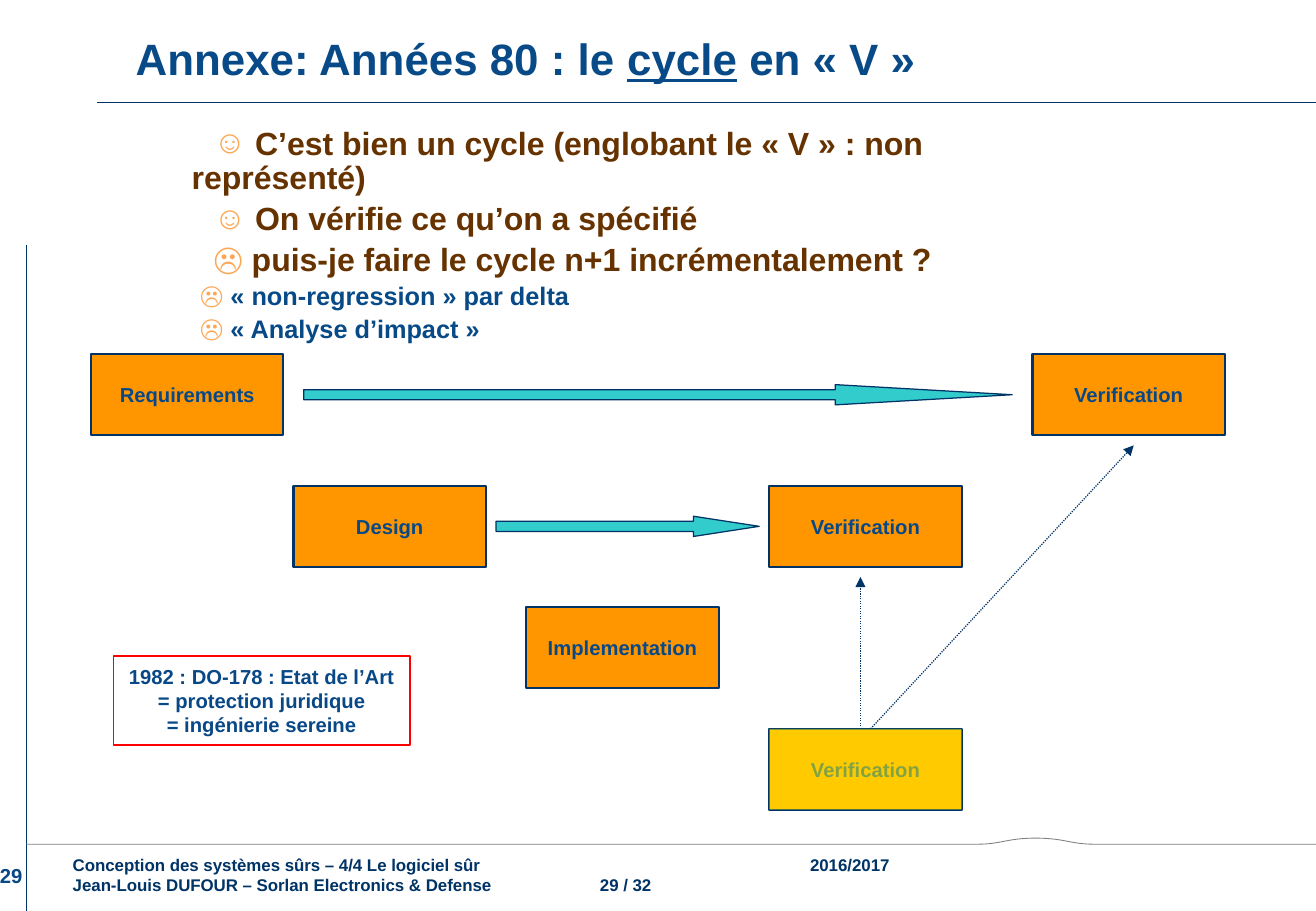
from dataclasses import dataclass

from lxml.etree import SubElement
from pptx import Presentation
from pptx.dml.color import RGBColor
from pptx.enum.dml import MSO_LINE
from pptx.enum.shapes import MSO_CONNECTOR, MSO_SHAPE
from pptx.enum.text import MSO_ANCHOR, MSO_AUTO_SIZE, PP_ALIGN
from pptx.oxml.ns import qn
from pptx.util import Emu, Inches, Pt

COLORS = {
    "navy": "003366", "title": "074A87", "label": "084887", "brown": "663300",
    "bullet": "FDA754", "orange": "FF9600", "teal": "33CCCC",
    "yellow": "FFFF00", "red": "FF0000", "gray": "807F87",
}
COLUMNS, ROWS = 130, 90
UNIT = Inches(1) // 12


@dataclass
class Box:
    left: float
    top: float
    width: float
    height: float

    def inner(self, left, top, width, height):
        return Box(self.left + left, self.top + top, width, height)

    def point(self, x, y):
        return grid(self.left + x), grid(self.top + y)

    def emu(self):
        return [grid(v) for v in (self.left, self.top, self.width, self.height)]


def grid(cells):
    return Emu(round(cells * UNIT))


def rgb(name):
    return RGBColor.from_string(COLORS[name])


def place(placeholder, box):
    placeholder.left, placeholder.top, placeholder.width, placeholder.height = box.emu()


def style(paragraph, size, color):
    for run in paragraph.runs:
        run.font.name, run.font.size, run.font.bold = "Arial", Pt(size), True
        run.font.color.rgb = rgb(color)


def paint(shape, fill, line, width):
    shape.shadow.inherit = False
    if fill:
        shape.fill.solid()
        shape.fill.fore_color.rgb = rgb(fill)
    else:
        shape.fill.background()
    if line:
        shape.line.color.rgb, shape.line.width = rgb(line), Pt(width)
    else:
        shape.line.fill.background()


def add_box(slide, box, fill, line, width=0.75, text="", kind=MSO_SHAPE.RECTANGLE):
    shape = slide.shapes.add_shape(kind, *box.emu())
    paint(shape, fill, line, width)
    frame = shape.text_frame
    frame.word_wrap, frame.vertical_anchor = False, MSO_ANCHOR.MIDDLE
    frame.margin_left = frame.margin_right = Inches(0.12)
    frame.margin_top = frame.margin_bottom = Inches(0.06)
    frame.text = text
    for paragraph in frame.paragraphs:
        paragraph.alignment = PP_ALIGN.CENTER
        style(paragraph, 12, "label")
    return shape


def add_line(slide, start, end, dotted_arrow=False):
    line = slide.shapes.add_connector(MSO_CONNECTOR.STRAIGHT, *start, *end)
    line.line.color.rgb, line.line.width = rgb("navy"), Pt(0.75)
    if dotted_arrow:
        line.line.dash_style = MSO_LINE.ROUND_DOT
        SubElement(line.line._get_or_add_ln(), qn("a:tailEnd"), type="triangle")
    SubElement(line._element.spPr, qn("a:effectLst"))


def add_title(slide, box):
    title = slide.shapes.title
    place(title, box)
    title.text_frame.vertical_anchor = MSO_ANCHOR.MIDDLE
    title.text_frame.auto_size = MSO_AUTO_SIZE.NONE
    heading = title.text_frame.paragraphs[0]
    heading.alignment = PP_ALIGN.LEFT
    for part in ("Annexe: Années 80 : le ", "cycle", " en « V »"):
        run = heading.add_run()
        run.text = part
        run.font.underline = part == "cycle"
    style(heading, 26, "title")


def add_arguments(slide, box):
    arguments = [
        (0, "☺", " C’est bien un cycle (englobant le « V » : non représenté)"),
        (0, "☺", " On vérifie ce qu’on a spécifié"),
        (0, "☹", " puis-je faire le cycle n+1 incrémentalement ?"),
        (1, "☹", " « non-regression » par delta"),
        (1, "☹", " « Analyse d’impact »"),
    ]
    looks = [(19, "brown", 0.47), (15, "title", 0.36)]
    body = slide.placeholders[1]
    place(body, box)
    frame = body.text_frame
    frame.auto_size = MSO_AUTO_SIZE.NONE
    frame.text = "\n".join(text for _, _, text in arguments)
    for paragraph, (level, smiley, _) in zip(frame.paragraphs, arguments):
        size, color, margin = looks[level]
        paragraph.level = level
        paragraph.line_spacing, paragraph.space_before = 0.9, Pt(size * 0.2)
        style(paragraph, size, color)
        props = paragraph._p.get_or_add_pPr()
        props.set("marL", str(Inches(margin)))
        props.set("indent", str(Inches(0.18)))
        tint = SubElement(props, qn("a:buClr"))
        SubElement(tint, qn("a:srgbClr"), val=COLORS["bullet"])
        SubElement(props, qn("a:buChar"), char=smiley)


def add_v_cycle(slide, box):
    steps = [
        ("Requirements", 0, 0), ("Design", 20, 13), ("Implementation", 43, 25),
        ("Verification", 67, 37), ("Verification", 67, 13), ("Verification", 93, 0),
    ]
    for name, x, y in steps:
        add_box(slide, box.inner(x, y, 19, 8), "orange", "navy", 1.25, name)
    for start, end in (((76, 37), (76, 22)), ((77, 37), (103, 9))):
        add_line(slide, box.point(*start), box.point(*end), dotted_arrow=True)
    for x, y, length, head in ((40, 16, 26, 3.25), (21, 3, 70, 8.75)):
        arrow = add_box(slide, box.inner(x, y, length, 2), "teal", "navy",
                        kind=MSO_SHAPE.RIGHT_ARROW)
        arrow.adjustments[0], arrow.adjustments[1] = 0.5, head
    veil = add_box(slide, box.inner(67, 37, 19, 8), "yellow", None)
    tint = veil._element.spPr.find(qn("a:solidFill"))[0]
    SubElement(tint, qn("a:alpha"), val="50000")


def add_wave(slide, box):
    def bend(x0, x1, x2, x3, y0, y3):
        for step in range(1, 13):
            t = step / 12
            s = 1 - t
            yield (s**3 * x0 + 3 * s * s * t * x1 + 3 * s * t * t * x2 + t**3 * x3,
                   y0 + (y3 - y0) * t * t * (3 - 2 * t))

    low = box.height
    points = [(105.4, low), *bend(105.4, 103.2, 102.5, 99.7, low, 0),
              *bend(99.7, 97, 96.2, 94.1, 0, low), (0, low)]
    builder = slide.shapes.build_freeform(*box.point(box.width, low))
    builder.add_line_segments([box.point(*point) for point in points], close=False)
    paint(builder.convert_to_shape(), None, "gray", 0.5)


def add_text(slide, box, text, size, color):
    frame = slide.shapes.add_textbox(*box.emu()).text_frame
    frame.text = text
    for paragraph in frame.paragraphs:
        style(paragraph, size, color)
    return frame


def add_footer(slide, box):
    add_wave(slide, box.inner(2.6, 0, 127.4, 0.6))
    credits = add_text(
        slide, box.inner(6, 1, 94, 5.3),
        "Conception des systèmes sûrs – 4/4 Le logiciel sûr\t2016/2017\n"
        "Jean-Louis DUFOUR – Sorlan Electronics & Defense\t29 / 32", 10, "navy")
    credits.word_wrap = True
    for paragraph, stop in zip(credits.paragraphs, (6.07, 4.34)):
        tabs = SubElement(paragraph._p.get_or_add_pPr(), qn("a:tabLst"))
        SubElement(tabs, qn("a:tab"), pos=str(Inches(stop)), algn="l")
    number = add_text(slide, box.inner(0, 1.9, 2.6, 4), "29", 12, "label")
    number.margin_left = number.margin_right = 0
    number.word_wrap = False


def main():
    deck = Presentation()
    deck.slide_width, deck.slide_height = grid(COLUMNS), grid(ROWS)
    slide = deck.slides.add_slide(deck.slide_layouts[1])
    page = Box(0, 0, COLUMNS, ROWS)
    add_line(slide, page.point(9.6, 10.1), page.point(COLUMNS, 10.1))
    add_line(slide, page.point(2.6, 24.2), page.point(2.6, ROWS))
    add_footer(slide, page.inner(0, 82.8, COLUMNS, 7.2))
    add_title(slide, page.inner(12.2, 0.6, 113, 10.3))
    add_arguments(slide, page.inner(12.1, 12, 94.6, 21))
    add_v_cycle(slide, page.inner(9, 35, 112, 45))
    add_box(slide, page.inner(11.2, 64.8, 29.3, 8.8), None, "red",
            text="1982 : DO-178 : Etat de l’Art\n= protection juridique\n= ingénierie sereine")
    deck.save("out.pptx")


if __name__ == "__main__":
    main()
